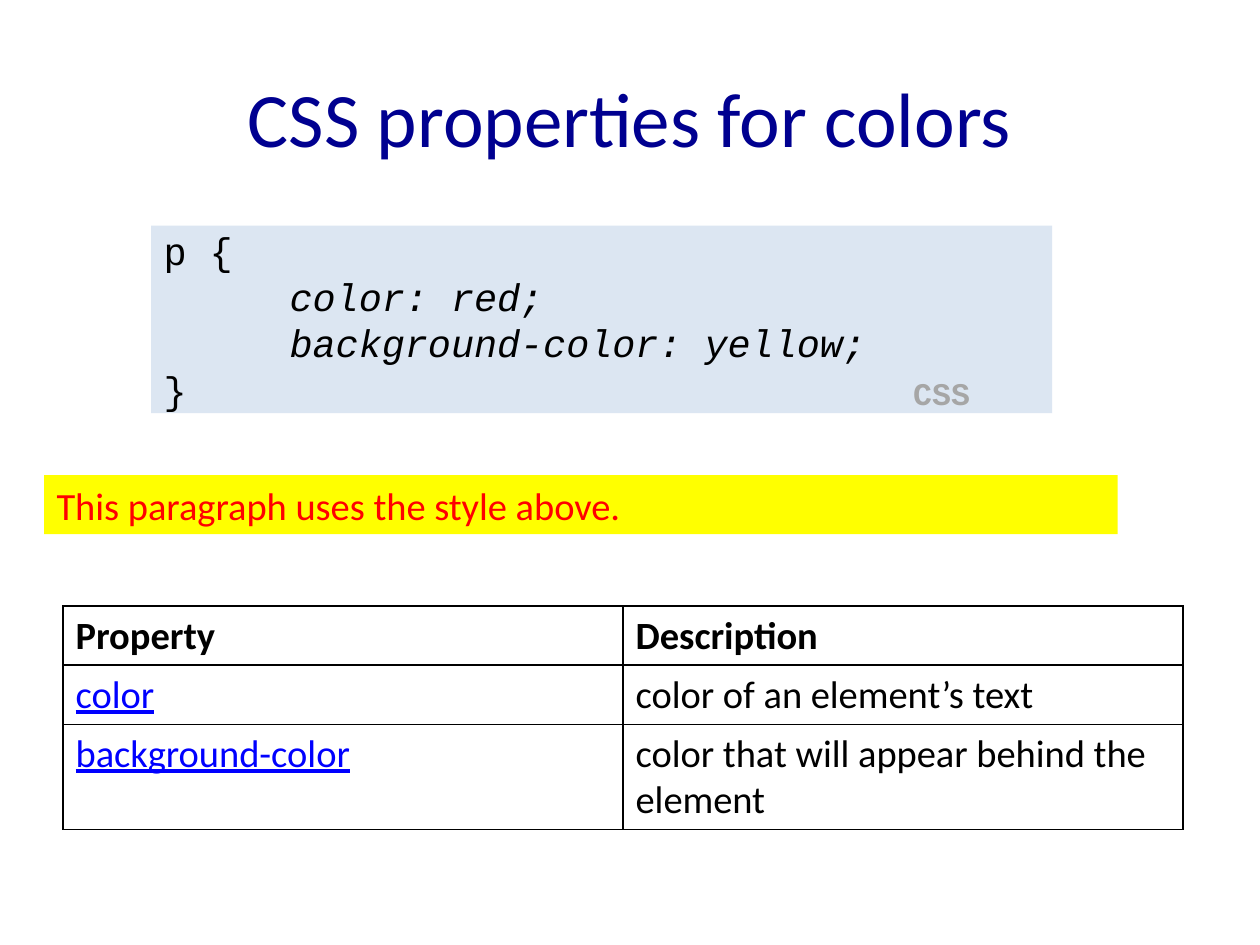
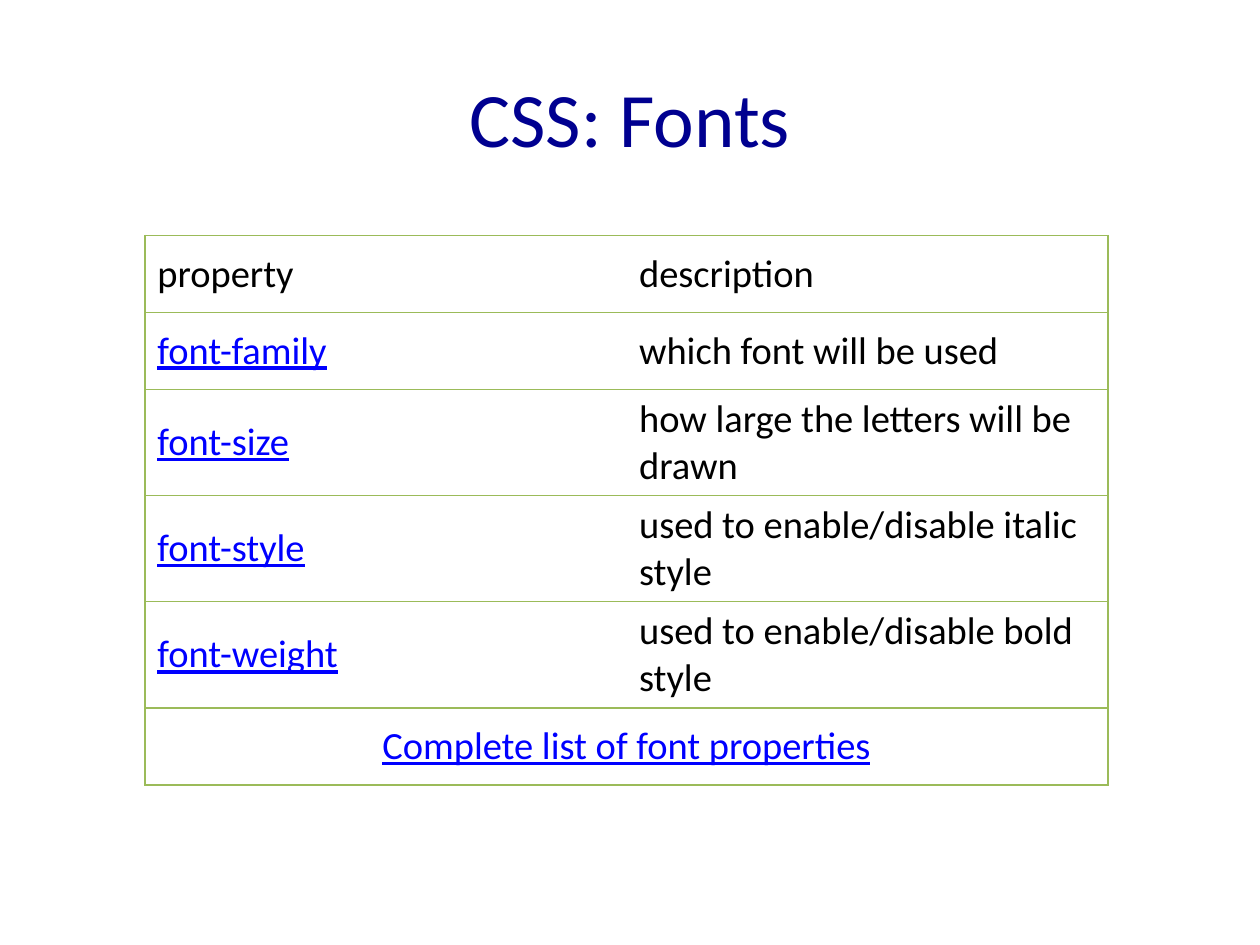
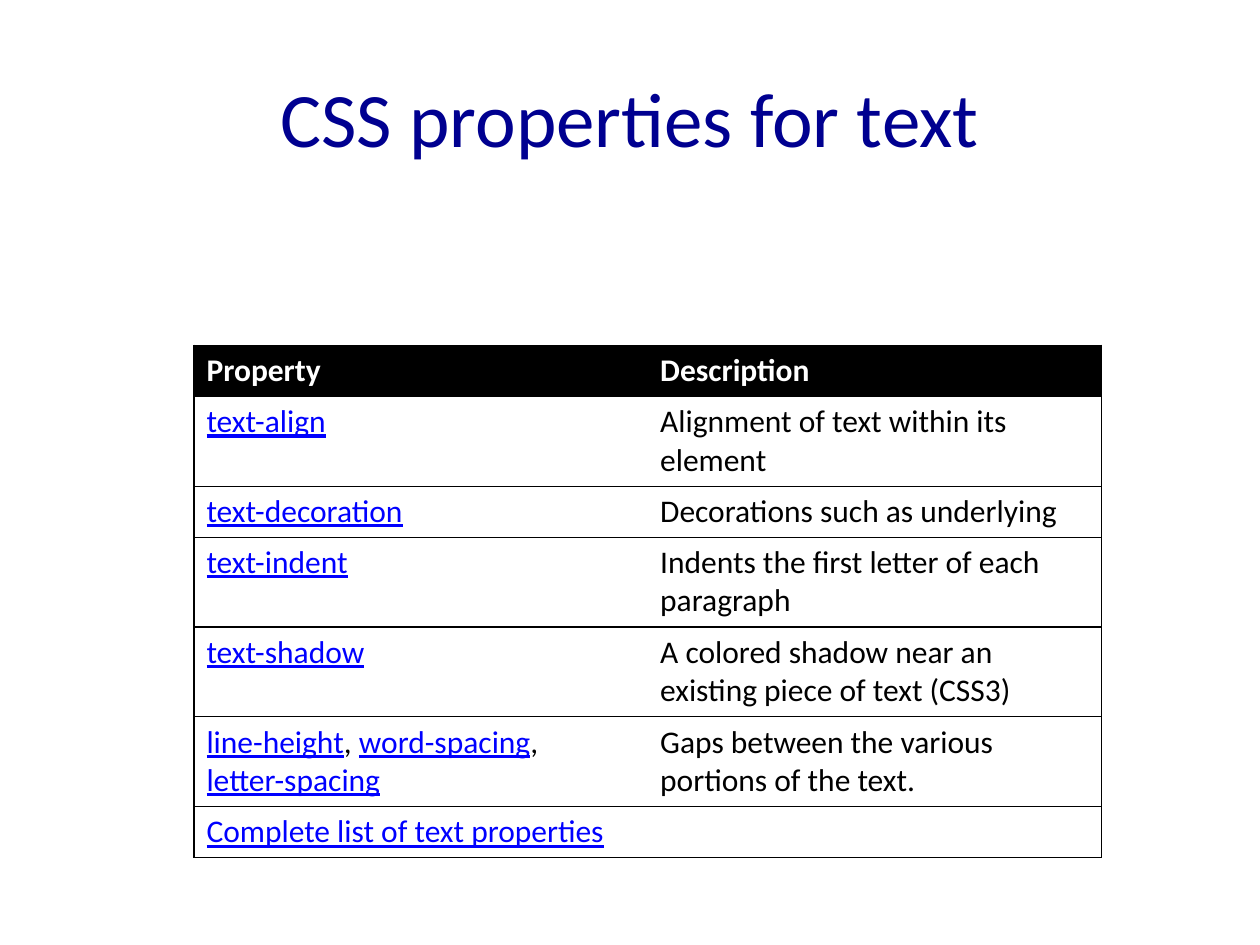
from pptx import Presentation
from pptx.dml.color import RGBColor
from pptx.enum.shapes import MSO_SHAPE
from pptx.enum.text import MSO_ANCHOR, PP_ALIGN
from pptx.oxml import parse_xml
from pptx.oxml.ns import nsdecls
from pptx.util import Cm, Pt

NAVY, BLACK, WHITE, LINK = "000090", "000000", "FFFFFF", "0000FF"
GREEN, PALE, YELLOW, RED, GREY = "9BBB59", "DCE6F2", "FFFF00", "FF0000", "A6A6A6"
BODY, CODE = "Calibri", "Courier New"


def rgb(color):
    return RGBColor.from_string(color)


def write(para, text, size, color=BLACK, face=BODY, bold=False, slant=False):
    """Add one run; text in the link colour is underlined."""
    run = para.add_run()
    run.text = text
    font = run.font
    font.name, font.size, font.bold, font.italic = face, Pt(size), bold, slant
    font.color.rgb = rgb(color)
    font.underline = color == LINK


prs = Presentation()
prs.slide_width, prs.slide_height = Cm(25.4), Cm(19.05)

# A row with one cell spans the table; "|" parts runs, a line end parts paragraphs.
# Rows listed in "two" hold two lines and are "tall"; the others are "high".
decks = [
    dict(title="CSS properties for colors", at=(1.27, 12.22), width=22.58,
         high=1.19, tall=2.12, two=[2],
         size=22, edge=BLACK, line=1, inner=True, bold=True, head=BLACK, fill=WHITE,
         anchor=MSO_ANCHOR.TOP, last=PP_ALIGN.LEFT,
         rows=[("Property", "Description"),
               ("color", "color of an element’s text"),
               ("background-color", "color that will appear behind the element")]),
    dict(title="CSS: Fonts", at=(2.92, 4.75), width=19.42,
         high=1.55, tall=2.14, two=[2, 3, 4],
         size=22, edge=GREEN, line=1, inner=False, bold=False, head=BLACK, fill=WHITE,
         anchor=MSO_ANCHOR.MIDDLE, last=PP_ALIGN.CENTER,
         rows=[("property", "description"),
               ("font-family", "which font will be used"),
               ("font-size", "how large the letters will be drawn"),
               ("font-style", "used to enable/disable italic style"),
               ("font-weight", "used to enable/disable bold style"),
               ("Complete list of font properties",)]),
    dict(title="CSS properties for text", at=(3.91, 6.96), width=18.29,
         high=1.03, tall=1.81, two=[1, 3, 4, 5],
         size=18, edge=BLACK, line=0.75, inner=False, bold=True, head=WHITE, fill=BLACK,
         anchor=MSO_ANCHOR.TOP, last=PP_ALIGN.LEFT,
         rows=[("Property", "Description"),
               ("text-align", "Alignment of text within its element"),
               ("text-decoration", "Decorations such as underlying"),
               ("text-indent", "Indents the first letter of each paragraph"),
               ("text-shadow", "A colored shadow near an existing piece of text (CSS3)"),
               ("line-height|, |word-spacing|,\nletter-spacing",
                "Gaps between the various portions of the text."),
               ("Complete list of text properties",)]),
]

for deck in decks:
    slide = prs.slides.add_slide(prs.slide_layouts[6])
    frame = slide.shapes.add_textbox(Cm(1.27), Cm(0.76), Cm(22.86), Cm(3.18)).text_frame
    frame.word_wrap = True
    frame.vertical_anchor = MSO_ANCHOR.MIDDLE
    frame.paragraphs[0].alignment = PP_ALIGN.CENTER
    write(frame.paragraphs[0], deck["title"], 44, NAVY)

    rows, size = deck["rows"], deck["size"]
    left, top = deck["at"]
    table = slide.shapes.add_table(len(rows), 2, Cm(left), Cm(top), Cm(deck["width"]),
                                   Cm(deck["high"] * len(rows))).table
    table.first_row = table.horz_banding = False

    for r, row in enumerate(rows):
        table.rows[r].height = Cm(deck["tall"] if r in deck["two"] else deck["high"])
        whole = len(row) == 1
        if whole:
            table.cell(r, 0).merge(table.cell(r, 1))
        for c in range(2):
            cell = table.cell(r, c)
            shown = {"L": c == 0 or deck["inner"],
                     "R": c == 1 or deck["inner"] or whole,
                     "T": True, "B": True}
            props = cell._tc.get_or_add_tcPr()
            for side, drawn in shown.items():
                paint = "<a:noFill/>"
                if drawn:
                    paint = f'<a:solidFill><a:srgbClr val="{deck["edge"]}"/></a:solidFill>'
                props.append(parse_xml(
                    f'<a:ln{side} {nsdecls("a")} w="{Pt(deck["line"])}">{paint}</a:ln{side}>'))
            cell.fill.solid()
            cell.fill.fore_color.rgb = rgb(deck["fill"] if r == 0 else WHITE)
            cell.vertical_anchor = deck["anchor"]

        for c, text in enumerate(row):
            frame = table.cell(r, c).text_frame
            for n, line in enumerate(text.split("\n")):
                para = frame.add_paragraph() if n else frame.paragraphs[0]
                if whole:
                    para.alignment = deck["last"]
                for part in line.split("|"):
                    if r == 0:
                        write(para, part, size, deck["head"], bold=deck["bold"])
                    else:
                        link = c == 0 and part.strip() != ","
                        write(para, part, size, LINK if link else BLACK)

# Code sample and its result on the first slide; each line is (text, indented)
shapes = prs.slides[0].shapes
boxes = [
    ((3.05, 4.55, 18.16, 3.78), PALE, BLACK, CODE,
     [("p {", False), ("color: red;", True),
      ("background-color: yellow;", True), ("}", False)]),
    ((0.89, 9.58, 21.64, 1.19), YELLOW, RED, BODY,
     [("This paragraph uses the style above.", False)]),
]
for at, fill, color, face, lines in boxes:
    box = shapes.add_shape(MSO_SHAPE.RECTANGLE, *map(Cm, at))
    box.shadow.inherit = False
    box.fill.solid()
    box.fill.fore_color.rgb = rgb(fill)
    box.line.fill.background()
    frame = box.text_frame
    frame.word_wrap = True
    frame.vertical_anchor = MSO_ANCHOR.MIDDLE
    frame.margin_top = frame.margin_bottom = 0
    for n, (line, inset) in enumerate(lines):
        para = frame.add_paragraph() if n else frame.paragraphs[0]
        para.alignment = PP_ALIGN.LEFT
        if inset:
            para._p.get_or_add_pPr().set("marL", str(Cm(2.54)))
        write(para, line, 22, color, face, slant=inset)

label = shapes.add_textbox(Cm(18.16), Cm(7.42), Cm(1.68), Cm(1.02)).text_frame
label.word_wrap = False
write(label.paragraphs[0], "CSS", 18, GREY, CODE, bold=True)

prs.save("out.pptx")
